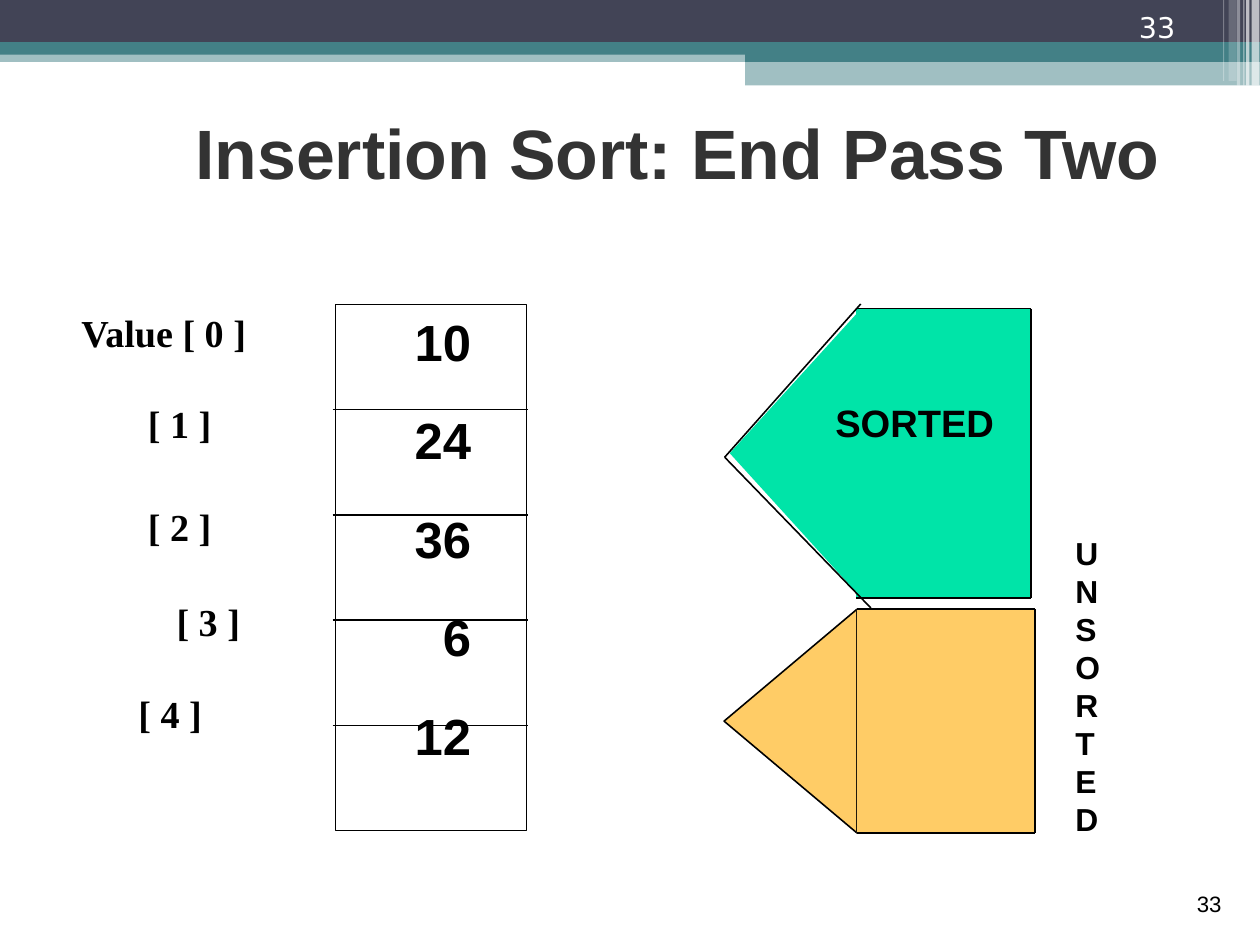
from pptx import Presentation
from pptx.dml.color import RGBColor
from pptx.enum.shapes import MSO_CONNECTOR, MSO_SHAPE
from pptx.enum.text import MSO_ANCHOR, MSO_AUTO_SIZE, PP_ALIGN
from pptx.oxml.xmlchemy import OxmlElement
from pptx.util import Pt

COLOURS = {
    "navy": "424456",
    "teal": "438086",
    "white": "FFFFFF",
    "black": "000000",
    "title": "333333",
    "sorted": "00E4A8",
    "unsorted": "FFCC66",
}


def colour(name):
    return RGBColor.from_string(COLOURS[name])


def write_lines(frame, lines, size, font="Arial", ink="black", bold=True,
                align=PP_ALIGN.LEFT, anchor=MSO_ANCHOR.TOP, gaps=None,
                indents=None, wrap=False):
    """Fill a text frame; gaps and indents hold one length in points per line."""
    frame.word_wrap = wrap
    frame.auto_size = MSO_AUTO_SIZE.NONE
    frame.vertical_anchor = anchor
    frame.margin_left = frame.margin_right = Pt(7.2)
    frame.margin_top = frame.margin_bottom = Pt(3.6)
    for index, line in enumerate(lines):
        para = frame.paragraphs[0] if index == 0 else frame.add_paragraph()
        para.alignment = align
        if gaps and index:
            para.space_before = Pt(gaps[index])
        if indents:
            properties = para._p.get_or_add_pPr()
            properties.set("marL", str(Pt(indents[index])))
            properties.set("indent", "0")
        span = para.add_run()
        span.text = line
        span.font.size = Pt(size)
        span.font.name = font
        span.font.bold = bold
        span.font.color.rgb = colour(ink)


class SlideBuilder:
    def __init__(self, deck, line_width=1):
        self.page = deck.slides.add_slide(deck.slide_layouts[5])
        self.line_width = Pt(line_width)

    def title(self, text, left, top, width, height):
        box = self.page.shapes.title
        box.left, box.top, box.width, box.height = map(Pt, (left, top, width, height))
        write_lines(box.text_frame, [text], 44, ink="title", wrap=True,
                    align=PP_ALIGN.CENTER, anchor=MSO_ANCHOR.BOTTOM)

    def text(self, lines, left, top, width, height, **style):
        box = self.page.shapes.add_textbox(*map(Pt, (left, top, width, height)))
        write_lines(box.text_frame, lines, **style)

    def shape(self, left, top, width, height, fill=None, outline=False,
              opacity=100, preset=MSO_SHAPE.RECTANGLE, rotation=0):
        shape = self.page.shapes.add_shape(preset, *map(Pt, (left, top, width, height)))
        shape.shadow.inherit = False
        shape.rotation = rotation
        if fill:
            shape.fill.solid()
            shape.fill.fore_color.rgb = colour(fill)
        else:
            shape.fill.background()
        if opacity < 100:
            alpha = OxmlElement("a:alpha")
            alpha.set("val", str(opacity * 1000))
            shape.fill._xPr.solidFill.srgbClr.append(alpha)
        if outline:
            shape.line.color.rgb = colour("black")
            shape.line.width = self.line_width
        else:
            shape.line.fill.background()

    def line(self, *ends):
        connector = self.page.shapes.add_connector(
            MSO_CONNECTOR.STRAIGHT, *map(Pt, ends))
        connector.line.color.rgb = colour("black")
        connector.line.width = self.line_width
        connector._element.spPr.append(OxmlElement("a:effectLst"))

    def arrow(self, tip, neck, right, top, bottom, fill, outline=False, overlap=0):
        """Left-pointing arrow: a turned triangle, a body over its base and three edges."""
        width, height = neck + overlap - tip, bottom - top
        self.shape(tip + (width - height) / 2, top + (height - width) / 2,
                   height, width, fill, outline,
                   preset=MSO_SHAPE.ISOSCELES_TRIANGLE, rotation=270)
        self.shape(neck, top, right - neck, height, fill)
        self.line(neck, top, right, top)
        self.line(neck, bottom, right, bottom)
        self.line(right, top, right, bottom)


def draw_banner(slide, width):
    half = 469.4
    for left, top, height, fill, opacity in (
            (0, 31.6, 7.4, "teal", 50),
            (0, 0, 27, "navy", 100),
            (0, 26.5, 8, "teal", 100),
            (half, 31, 8, "teal", 100),
            (half, 38.4, 15.4, "teal", 50)):
        slide.shape(left, top, width - left, height, fill, opacity=opacity)
    for left, stripe, height, opacity in (
            (788.4, 5, 54, 65), (785, 2, 54, 65), (783.2, 0.7, 54, 60),
            (779.2, 2, 54, 40), (774, 5, 51, 20), (770.4, 0.7, 51, 30)):
        slide.shape(left, 0, stripe, height, "white", opacity=opacity)


def draw_array(slide):
    top, row_height, values = 191.7, 66.3, ["10", "24", "36", "6", "12"]
    slide.text(["Value [ 0 ]", "[ 1 ]", "[ 2 ]", "[ 3 ]", "[ 4 ]"],
               44.1, 191.1, 193, 290, size=24, font="Times New Roman",
               gaps=[0, 28.6, 36.1, 31.2, 29.2], indents=[0, 42, 42, 60, 36])
    slide.shape(211.2, top, 120.4, row_height * len(values), outline=True)
    for row in range(1, len(values)):
        y = top + row * row_height
        slide.line(209.5, y, 332.6, y)
    slide.text(values, 253.7, 191.9, 50.2, 295, size=32,
               align=PP_ALIGN.RIGHT, gaps=[23.7] * len(values))


def draw_parts(slide):
    slide.arrow(456.1, 539.8, 652.1, 383.8, 524.7, "unsorted", outline=True)
    slide.text(list("UNSORTED"), 670.3, 332.4, 30, 200, size=20)
    slide.arrow(459.7, 539.3, 649.5, 194.4, 376.6, "sorted", overlap=3.2)
    slide.text(["SORTED"], 519.1, 248.2, 115, 36, size=24)
    slide.line(456.5, 288, 542.2, 191.5)
    slide.line(456.5, 288, 548.6, 383)


def main():
    deck = Presentation()
    width, height = 793.7, 595.28
    deck.slide_width, deck.slide_height = Pt(width), Pt(height)
    slide = SlideBuilder(deck)
    draw_banner(slide, width)
    slide.title("Insertion Sort: End Pass Two", 86.8, 52.6, 681, 72.7)
    draw_array(slide)
    draw_parts(slide)
    slide.text(["33"], 611, 541.8, 165.6, 39.6, size=14, bold=False,
               align=PP_ALIGN.RIGHT, anchor=MSO_ANCHOR.BOTTOM, wrap=True)
    slide.text(["33"], 710.4, 0, 66, 31.4, size=18, font="DejaVu Sans",
               ink="white", bold=False, anchor=MSO_ANCHOR.BOTTOM, wrap=True)
    deck.save("out.pptx")


if __name__ == "__main__":
    main()
